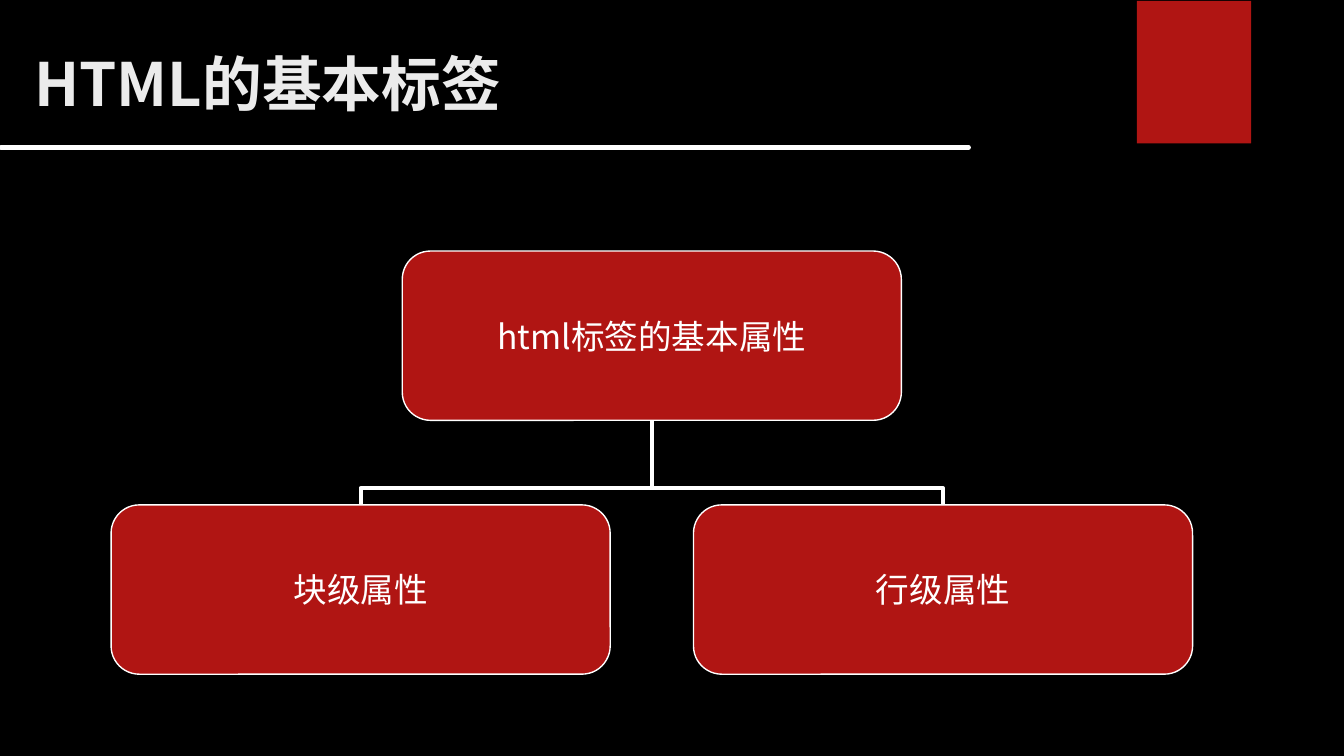
import pptx
import pptx.dml.color
import pptx.enum.shapes
import pptx.enum.text
import pptx.oxml.ns
import pptx.util
from lxml import etree

Pt = pptx.util.Pt
SHAPE = pptx.enum.shapes.MSO_SHAPE
CONNECTOR = pptx.enum.shapes.MSO_CONNECTOR
ALIGN = pptx.enum.text.PP_ALIGN
ANCHOR = pptx.enum.text.MSO_ANCHOR
qn = pptx.oxml.ns.qn

RED, WHITE, BLACK, PALE = "B01513", "FFFFFF", "000000", "EBEBEB"
CJK_FONT, LATIN_FONT = "Noto Sans CJK SC", "Cabin"


def paint(target, color):
    """Give a fill a solid colour from a hex string."""
    target.solid()
    target.fore_color.rgb = pptx.dml.color.RGBColor.from_string(color)


def write(frame, text, size, font, color, bold=False, align=ALIGN.LEFT,
          anchor=ANCHOR.TOP, inset=(0, 0), spacing=1.0, wrap=True):
    """Put one formatted paragraph into a text frame."""
    frame.word_wrap = wrap
    frame.vertical_anchor = anchor
    frame.margin_left = frame.margin_right = Pt(inset[0])
    frame.margin_top = frame.margin_bottom = Pt(inset[1])
    para = frame.paragraphs[0]
    para.alignment = align
    para.line_spacing = spacing
    span = para.add_run()
    span.text = text
    span.font.size = Pt(size)
    span.font.bold = bold
    span.font.name = font
    paint(span.font.fill, color)
    east_asian = etree.SubElement(span.font._element, qn("a:ea"))
    east_asian.set("typeface", font)


def add_block(page, kind, left, top, width, height):
    """Add a red shape without outline or shadow."""
    block = page.shapes.add_shape(kind, Pt(left), Pt(top), Pt(width), Pt(height))
    block.shadow.inherit = False
    paint(block.fill, RED)
    block.line.fill.background()
    return block


def add_line(page, kind, start, end):
    """Add a white connector without shadow."""
    line = page.shapes.add_connector(kind, *(Pt(value) for value in start + end))
    line.line.width = Pt(2.25)
    paint(line.line.fill, WHITE)
    etree.SubElement(line._element.spPr, qn("a:effectLst"))
    return line


def add_node(page, text, font, left, top, width, height):
    """Add a rounded tree node with centred text."""
    node = add_block(page, SHAPE.ROUNDED_RECTANGLE, left, top, width, height)
    node.adjustments[0] = 0.167
    paint(node.line.fill, WHITE)
    node.line.width = Pt(0.75)
    write(node.text_frame, text, 18, font, WHITE, align=ALIGN.CENTER,
          anchor=ANCHOR.MIDDLE, wrap=False)


def add_branch(page, child, parent):
    """Join a child's top to the parent's bottom with a turned elbow."""
    middle_x, middle_y = (child[0] + parent[0]) / 2, (child[1] + parent[1]) / 2
    half_long, half_short = abs(child[0] - parent[0]) / 2, (child[1] - parent[1]) / 2
    start = (middle_x - half_short, middle_y - half_long)
    end = (middle_x + half_short, middle_y + half_long)
    on_right = child[0] > parent[0]
    if on_right:
        start, end = (end[0], start[1]), (start[0], end[1])
    branch = add_line(page, CONNECTOR.ELBOW, start, end)
    branch.rotation = 90 if on_right else 270
    guides = branch._element.spPr.find(qn("a:prstGeom")).get_or_add_avLst()
    guide = etree.SubElement(guides, qn("a:gd"))
    guide.set("name", "adj1")
    guide.set("fmla", "val 19900")


def add_header(page, left, top, width):
    """Place the corner block, the rule and the title."""
    add_block(page, SHAPE.RECTANGLE, left + 609, top + 0.5, 61.3, 76.3)
    rule = add_line(page, CONNECTOR.STRAIGHT, (left + 0.5, top + 79), (left + 519, top + 79))
    rule.line._get_or_add_ln().set("cap", "rnd")
    title = page.shapes.add_textbox(Pt(left + 13), Pt(top + 26.6), Pt(width - 135), Pt(65.5))
    write(title.text_frame, "HTML的基本标签", 32, CJK_FONT, PALE, bold=True,
          inset=(5.3, 2.9), spacing=0.9)


def add_tree(page, left, top, width, height):
    """Place a root node above two children that fill the box width."""
    node_width, node_height = 267.4, 90.7
    center = left + width / 2
    child_top = top + height - node_height
    child_lefts = (left, left + width - node_width)
    for child_left in child_lefts:
        add_branch(page, (child_left + node_width / 2, child_top),
                   (center, top + node_height))
    add_node(page, "html标签的基本属性", CJK_FONT, center - node_width / 2, top,
             node_width, node_height)
    for text, child_left in zip(("块级属性", "行级属性"), child_lefts):
        add_node(page, text, LATIN_FONT, child_left, child_top, node_width, node_height)


def main():
    """Build the slide and save it."""
    deck = pptx.Presentation()
    deck.slide_width, deck.slide_height = Pt(720), Pt(405)
    page = deck.slides.add_slide(deck.slide_layouts[6])
    paint(page.background.fill, BLACK)
    add_header(page, 0, 0, 720)
    add_tree(page, 59.5, 134.5, 579.4, 226.7)
    deck.save("out.pptx")


if __name__ == "__main__":
    main()
